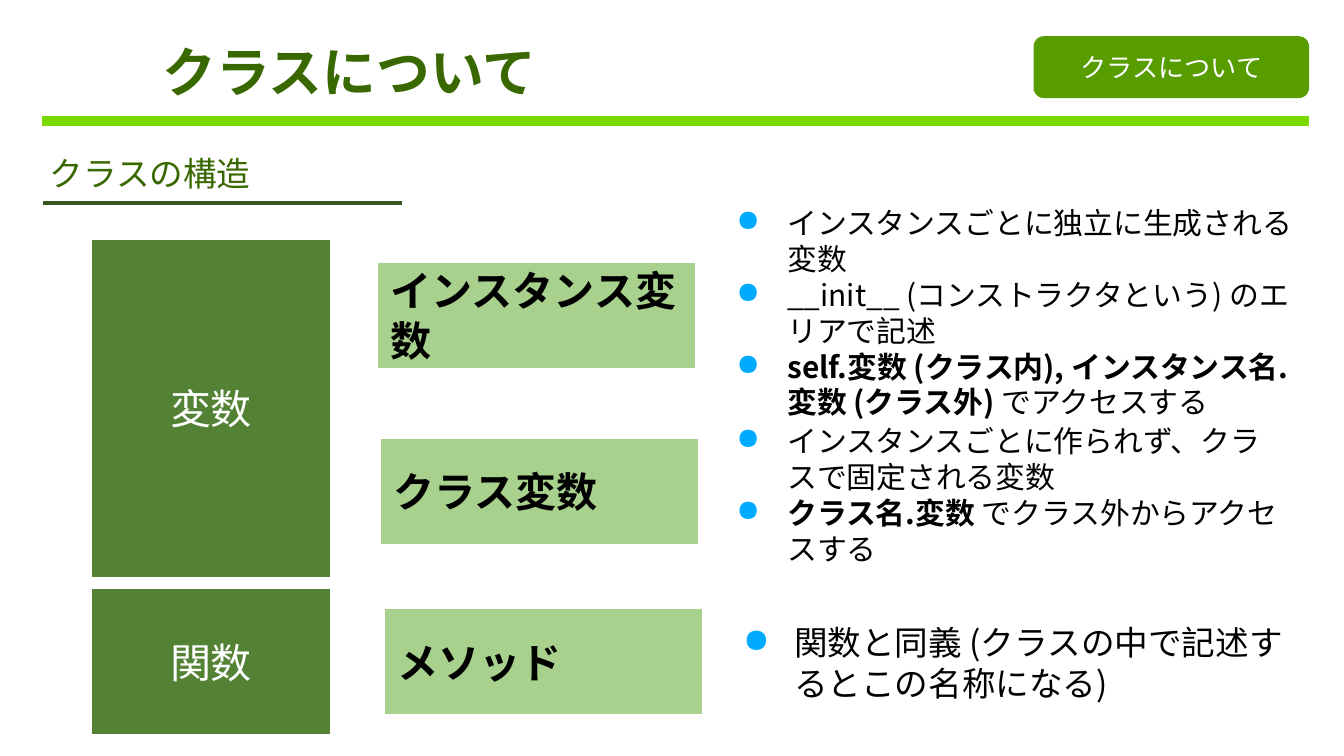
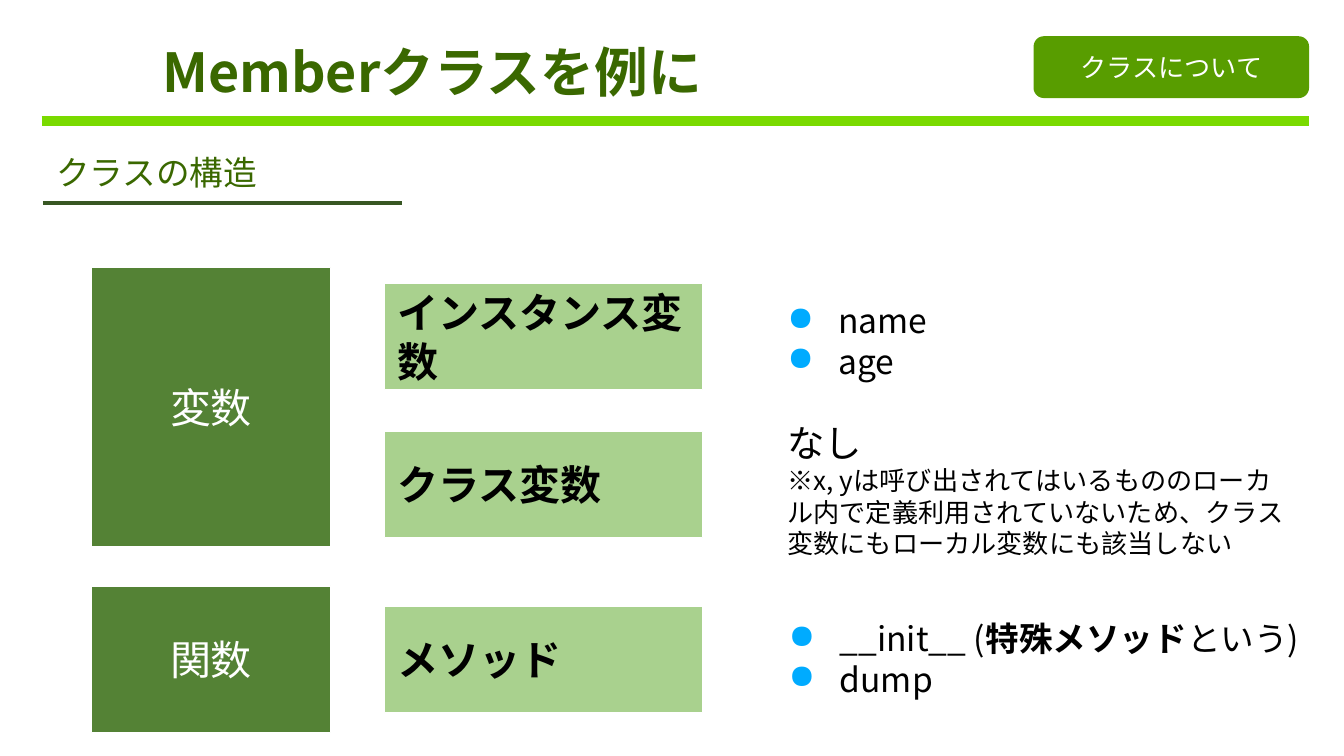
from dataclasses import dataclass
from typing import NamedTuple

from lxml.etree import SubElement
from pptx import Presentation
from pptx.dml.color import RGBColor
from pptx.enum.shapes import MSO_CONNECTOR, MSO_SHAPE as Preset
from pptx.enum.text import MSO_ANCHOR as Anchor, PP_ALIGN as Align
from pptx.oxml.ns import qn
from pptx.util import Inches, Pt

FONT = "Noto Sans CJK JP"
BLACK = RGBColor(0x00, 0x00, 0x00)
WHITE = RGBColor(0xFF, 0xFF, 0xFF)
TITLE_GREEN = RGBColor(0x3A, 0x68, 0x00)
RULE_GREEN = RGBColor(0x7A, 0xDA, 0x00)
TAG_GREEN = RGBColor(0x58, 0x9D, 0x00)
UNDERLINE_GREEN = RGBColor(0x38, 0x57, 0x23)
KIND_GREEN = RGBColor(0x54, 0x82, 0x35)
MEMBER_GREEN = RGBColor(0xA9, 0xD1, 0x8E)
BULLET_BLUE = "00ABFF"

# The grid has 100 columns and 56.25 rows of square cells.
WIDTH, HEIGHT = Inches(10), Inches(5.625)
CELL = WIDTH // 100
KIND_LEFT, KIND_COLUMNS = 6.8, 17.8
MEMBER_COLUMNS, MEMBER_ROWS = 23.7, 7.9


class Area(NamedTuple):
    left: float
    top: float
    columns: float
    rows: float

    def lengths(self) -> list[int]:
        return [round(cells * CELL) for cells in self]


@dataclass(frozen=True)
class Style:
    size: float
    color: RGBColor = BLACK
    bold: bool = False
    align: Align = Align.LEFT
    spacing: float | None = None


@dataclass(frozen=True)
class Line:
    """One paragraph; every second run is bold, starting with the second."""
    runs: tuple[str, ...]
    size: float
    bullet: bool = True


@dataclass(frozen=True)
class Kind:
    text: str
    top: float
    rows: float


@dataclass(frozen=True)
class Member:
    """A light box and the explanation to its right."""
    text: str
    left: float
    top: float
    detail_area: Area
    details: tuple[Line, ...]


@dataclass(frozen=True)
class Page:
    title: str
    heading_area: Area
    kinds: tuple[Kind, ...]
    members: tuple[Member, ...]


TITLE = Style(28.8, TITLE_GREEN, bold=True, spacing=0.9)
HEADING = Style(18, TITLE_GREEN)
TAG = Style(14, WHITE, align=Align.CENTER)
KIND = Style(22, WHITE, align=Align.CENTER)
MEMBER = Style(22, bold=True)

PAGES = (
    Page(
        "クラスについて",
        Area(2.7, 11.1, 31.9, 3.5),
        (Kind("変数", 17.8, 25.2), Kind("関数", 43.8, 10.9)),
        (
            Member("インスタンス変数", 28.1, 19.5, Area(52.6, 17, 45.8, 12.5), (
                Line(("インスタンスごとに独立に生成される変数",), 16),
                Line(("__init__ (コンストラクタという) のエリアで記述",), 16),
                Line(("", "self.変数 (クラス内), インスタンス名.変数 (クラス外) ",
                      "でアクセスする"), 16),
            )),
            Member("クラス変数", 28.3, 32.6, Area(52.6, 32.3, 43.5, 9), (
                Line(("インスタンスごとに作られず、クラスで固定される変数",), 16),
                Line(("", "クラス名.変数 ", "でクラス外からアクセスする"), 16),
            )),
            Member("メソッド", 28.6, 45.3, Area(53.1, 44.8, 43.5, 9), (
                Line(("関数と同義 (クラスの中で記述するとこの名称になる)",), 18),
            )),
        ),
    ),
    Page(
        "Memberクラスを例に",
        Area(3.2, 11.2, 31.9, 3.2),
        (Kind("変数", 19.9, 20.8), Kind("関数", 43.6, 10.9)),
        (
            Member("インスタンス変数", 28.6, 21.1, Area(56.4, 21.1, 27.5, 8.5), (
                Line(("name",), 18),
                Line(("age",), 18),
            )),
            Member("クラス変数", 28.6, 32.1, Area(56.4, 31.9, 41, 9), (
                Line(("なし",), 20, bullet=False),
                Line(("※x, yは呼び出されてはいるもののローカル内で定義利用されていないため、"
                      "クラス変数にもローカル変数にも該当しない",), 14, bullet=False),
            )),
            Member("メソッド", 28.6, 45.1, Area(56.5, 44.5, 43.5, 9), (
                Line(("__init__ (", "特殊メソッド", "という)"), 18),
                Line(("dump",), 18),
            )),
        ),
    ),
)


def set_style(paragraph, style: Style) -> None:
    paragraph.alignment = style.align
    if style.spacing:
        paragraph.line_spacing = style.spacing
    font = paragraph.font
    font.size, font.bold, font.name = Pt(style.size), style.bold, FONT
    font.color.rgb = style.color
    defaults = paragraph._p.pPr.find(qn("a:defRPr"))
    SubElement(defaults, qn("a:ea")).set("typeface", FONT)


def set_indent(paragraph, bullet: bool) -> None:
    properties = paragraph._p.get_or_add_pPr()
    left, first = (0.5, -0.38) if bullet else (0.12, 0)
    properties.set("marL", str(Inches(left)))
    properties.set("indent", str(Inches(first)))
    if bullet:
        color = SubElement(properties, qn("a:buClr"))
        SubElement(color, qn("a:srgbClr")).set("val", BULLET_BLUE)
        SubElement(properties, qn("a:buChar")).set("char", "●")


def prepare_frame(shape, inset: float = 0.1):
    frame = shape.text_frame
    frame.word_wrap = True
    frame.vertical_anchor = Anchor.MIDDLE
    frame.margin_left = frame.margin_right = Inches(0.1)
    frame.margin_top = frame.margin_bottom = Inches(inset)
    return frame


def write(shape, text: str, style: Style, inset: float = 0.1) -> None:
    paragraph = prepare_frame(shape, inset).paragraphs[0]
    paragraph.add_run().text = text
    set_style(paragraph, style)


def add_label(slide, area: Area, text: str, style: Style, inset: float = 0.1) -> None:
    write(slide.shapes.add_textbox(*area.lengths()), text, style, inset)


def add_box(slide, area: Area, text: str, style: Style, fill: RGBColor,
            preset: Preset = Preset.RECTANGLE, outlined: bool = True) -> None:
    box = slide.shapes.add_shape(preset, *area.lengths())
    box.shadow.inherit = False
    box.fill.solid()
    box.fill.fore_color.rgb = fill
    if outlined:
        box.line.color.rgb = WHITE
        box.line.width = Pt(0.75)
    else:
        box.line.fill.background()
    write(box, text, style)


def add_rule(slide, left: float, right: float, row: float,
             color: RGBColor, points: float) -> None:
    start, end, height = (round(cells * CELL) for cells in (left, right, row))
    rule = slide.shapes.add_connector(MSO_CONNECTOR.STRAIGHT, start, height, end, height)
    rule.line.color.rgb = color
    rule.line.width = Pt(points)
    SubElement(rule._element.spPr, qn("a:effectLst"))


def add_details(slide, area: Area, details: tuple[Line, ...]) -> None:
    frame = prepare_frame(slide.shapes.add_textbox(*area.lengths()))
    for number, line in enumerate(details):
        paragraph = frame.add_paragraph() if number else frame.paragraphs[0]
        set_indent(paragraph, line.bullet)
        for position, text in enumerate(line.runs):
            if text:
                run = paragraph.add_run()
                run.text = text
                if position % 2:
                    run.font.bold = True
        set_style(paragraph, Style(line.size))


def add_frame(slide, page: Page) -> None:
    """Draw the title, section tag, heading and rules that all pages share."""
    add_rule(slide, 3.1, 97.4, 9, RULE_GREEN, 5)
    add_label(slide, Area(11.1, 2.7, 86.2, 5.7), page.title, TITLE, inset=0.05)
    add_label(slide, page.heading_area, "クラスの構造", HEADING)
    add_rule(slide, 3.2, 29.9, 15.1, UNDERLINE_GREEN, 2.25)
    add_box(slide, Area(76.9, 2.7, 20.5, 4.6), "クラスについて", TAG, TAG_GREEN,
            Preset.ROUNDED_RECTANGLE, outlined=False)


def add_page(deck, page: Page) -> None:
    slide = deck.slides.add_slide(deck.slide_layouts[6])
    add_frame(slide, page)
    for kind in page.kinds:
        add_box(slide, Area(KIND_LEFT, kind.top, KIND_COLUMNS, kind.rows),
                kind.text, KIND, KIND_GREEN)
    for member in page.members:
        add_box(slide, Area(member.left, member.top, MEMBER_COLUMNS, MEMBER_ROWS),
                member.text, MEMBER, MEMBER_GREEN)
        add_details(slide, member.detail_area, member.details)


def main() -> None:
    deck = Presentation()
    deck.slide_width, deck.slide_height = WIDTH, HEIGHT
    for page in PAGES:
        add_page(deck, page)
    deck.save("out.pptx")


if __name__ == "__main__":
    main()
